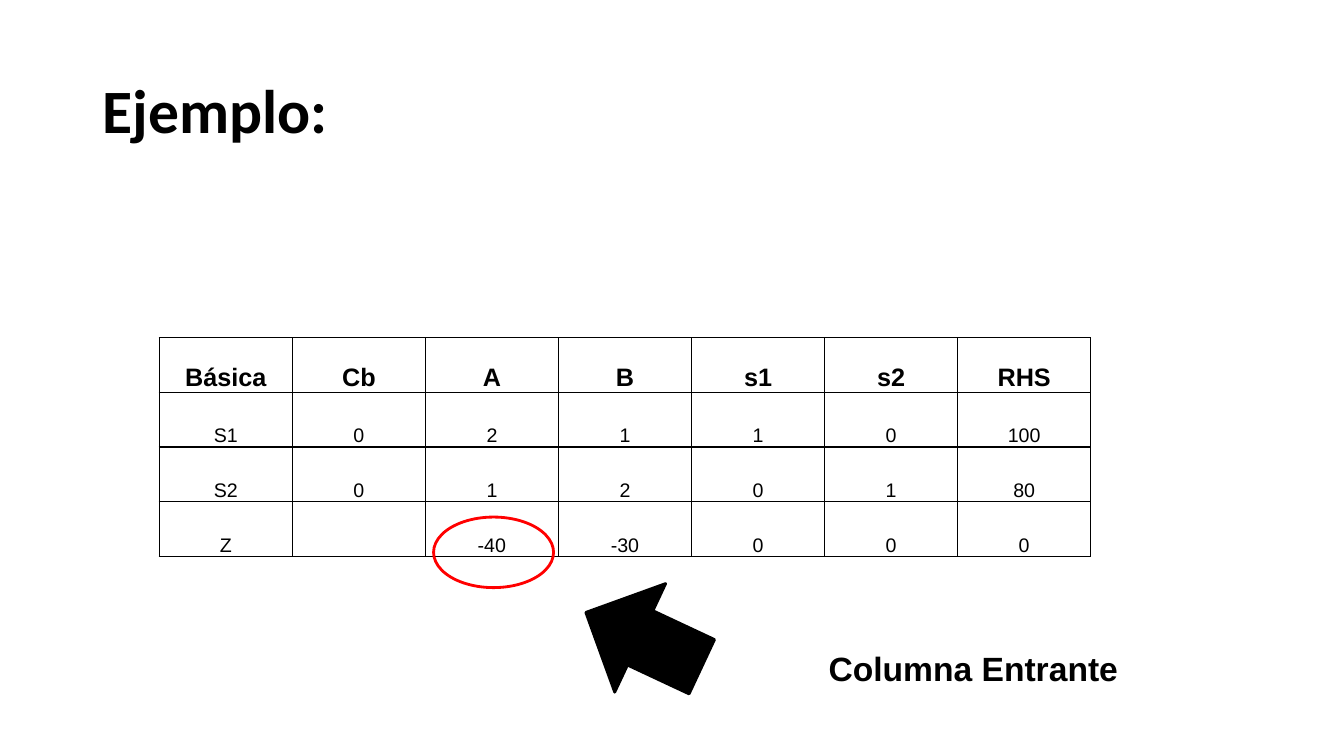
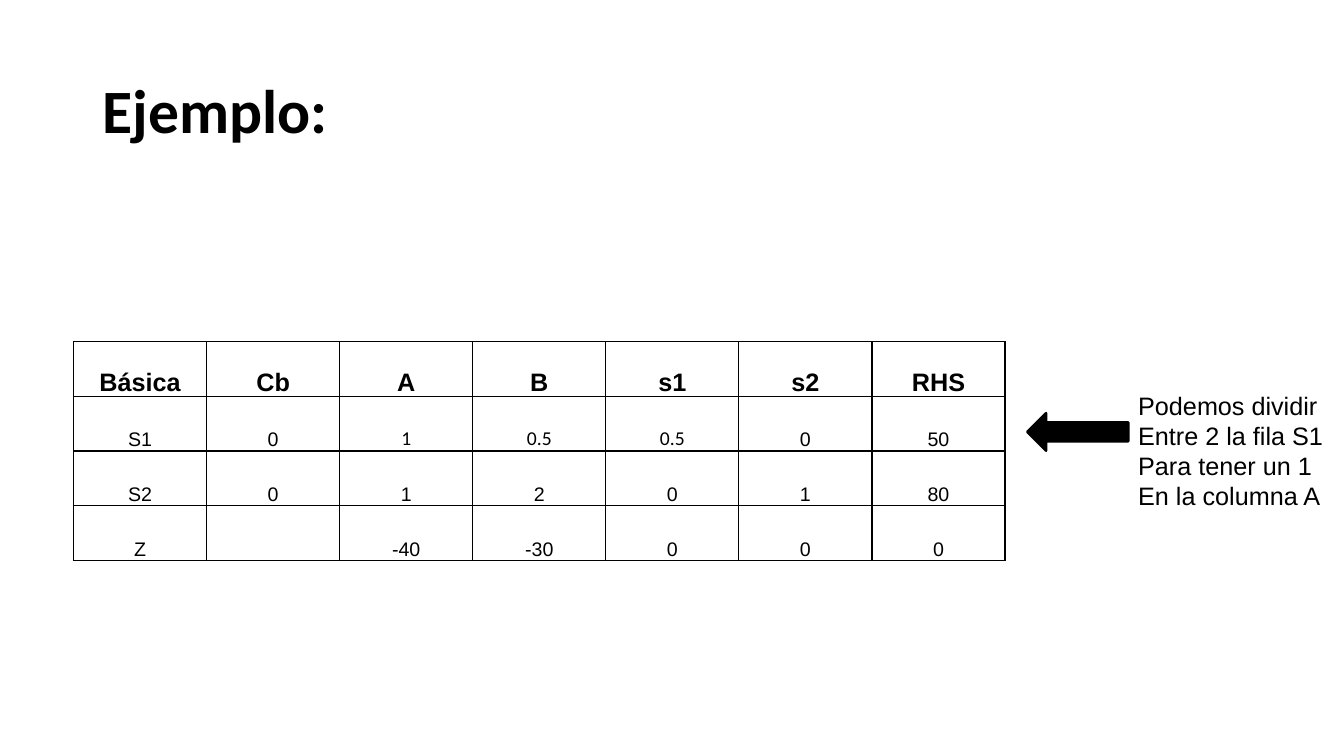
import dataclasses
import pptx
import pptx.util
import pptx.dml.color
import pptx.enum.shapes
import pptx.enum.text
import pptx.oxml

Inches = pptx.util.Inches
Pt = pptx.util.Pt
RGB = pptx.dml.color.RGBColor
Shape = pptx.enum.shapes.MSO_SHAPE
Align = pptx.enum.text.PP_ALIGN
Anchor = pptx.enum.text.MSO_ANCHOR


@dataclasses.dataclass(frozen=True)
class Theme:
    ink: RGB = RGB(0, 0, 0)
    mark: RGB = RGB(255, 0, 0)
    sans: str = "Arial"
    head: str = "Calibri"
    title: int = 44
    label: int = 24
    text: int = 18
    cell: int = 14
    line: int = 2
    rule: int = 1


theme = Theme()


def add_run(para, text, size, font=theme.sans, bold=False):
    run = para.add_run()
    run.text = text
    run.font.size = Pt(size)
    run.font.name = font
    run.font.bold = bold
    run.font.color.rgb = theme.ink


def add_mark(slide, kind, box, color, solid=True, turn=0):
    shape = slide.shapes.add_shape(kind, *map(Inches, box))
    shape.shadow.inherit = False
    shape.rotation = turn
    if solid:
        shape.fill.solid()
        shape.fill.fore_color.rgb = color
    else:
        shape.fill.background()
    shape.line.color.rgb = color
    shape.line.width = Pt(theme.line)


heads = ["Básica", "Cb", "A", "B", "s1", "s2", "RHS"]
tail = [
    ["S2", "0", "1", "2", "0", "1", "80"],
    ["Z", "", "-40", "-30", "0", "0", "0"],
]
pages = [
    {
        "grid": (1.58, 3.35),
        "first": ["S1", "0", "2", "1", "1", "0", "100"],
        "fresh": [],
        "marks": [
            (Shape.OVAL, (4.3, 5.13, 1.19, 0.7), theme.mark, False, 0),
            (Shape.DOWN_ARROW, (5.79, 5.71, 1.19, 1.27), theme.ink, True, 115.1),
        ],
        "box": (8.12, 6.38, 3.1, 0.5),
        "lines": ["Columna Entrante"],
        "size": theme.label,
        "bold": True,
    },
    {
        "grid": (0.73, 3.39),
        "first": ["S1", "0", "1", "0.5", "0.5", "0", "50"],
        "fresh": [(1, 2), (1, 3), (1, 4)],
        "marks": [
            (Shape.RIGHT_ARROW, (10.19, 4.1, 1, 0.37), theme.ink, True, 180),
        ],
        "box": (11.19, 3.82, 2.05, 1.31),
        "lines": [
            "Podemos dividir",
            "Entre 2 la fila S1",
            "Para tener un 1",
            "En la columna A",
        ],
        "size": theme.text,
        "bold": False,
    },
]

deck = pptx.Presentation()
deck.slide_width = Inches(13.33)
deck.slide_height = Inches(7.5)
layout = deck.slide_layouts[5]
holder = layout.placeholders[0]
holder.left, holder.top = Inches(0.92), Inches(0.4)
holder.width, holder.height = Inches(11.5), Inches(1.45)

for page in pages:
    slide = deck.slides.add_slide(layout)
    frame = slide.shapes.title.text_frame
    frame.vertical_anchor = Anchor.MIDDLE
    para = frame.paragraphs[0]
    para.alignment = Align.LEFT
    para.line_spacing = 0.9
    add_run(para, "Ejemplo:", theme.title, theme.head, True)

    rows = [heads, page["first"], *tail]
    left, top = page["grid"]
    table = slide.shapes.add_table(
        len(rows), len(heads), Inches(left), Inches(top), Inches(9.24), Inches(2.17)
    ).table
    table.first_row = False
    table.horz_banding = False
    for r, row in enumerate(rows):
        for c, text in enumerate(row):
            cell = table.cell(r, c)
            cell.fill.background()
            cell.vertical_anchor = Anchor.BOTTOM
            cell.margin_left = cell.margin_right = cell.margin_top = Inches(0.01)
            cell.margin_bottom = 0
            props = cell._tc.get_or_add_tcPr()
            for i, side in enumerate("LRTB"):
                props.insert(i, pptx.oxml.parse_xml(
                    f'<a:ln{side} xmlns:a="http://schemas.openxmlformats.org/drawingml/2006/main" '
                    f'w="{Pt(theme.rule)}"><a:solidFill><a:srgbClr val="{theme.ink}"/>'
                    f'</a:solidFill></a:ln{side}>'
                ))
            para = cell.text_frame.paragraphs[0]
            para.alignment = Align.CENTER
            if text:
                size = theme.cell if r else theme.text
                font = theme.head if (r, c) in page["fresh"] else theme.sans
                add_run(para, text, size, font, r == 0)

    for mark in page["marks"]:
        add_mark(slide, *mark)

    frame = slide.shapes.add_textbox(*map(Inches, page["box"])).text_frame
    frame.word_wrap = False
    frame.auto_size = pptx.enum.text.MSO_AUTO_SIZE.SHAPE_TO_FIT_TEXT
    for i, line in enumerate(page["lines"]):
        para = frame.add_paragraph() if i else frame.paragraphs[0]
        add_run(para, line, page["size"], bold=page["bold"])

deck.save("out.pptx")
